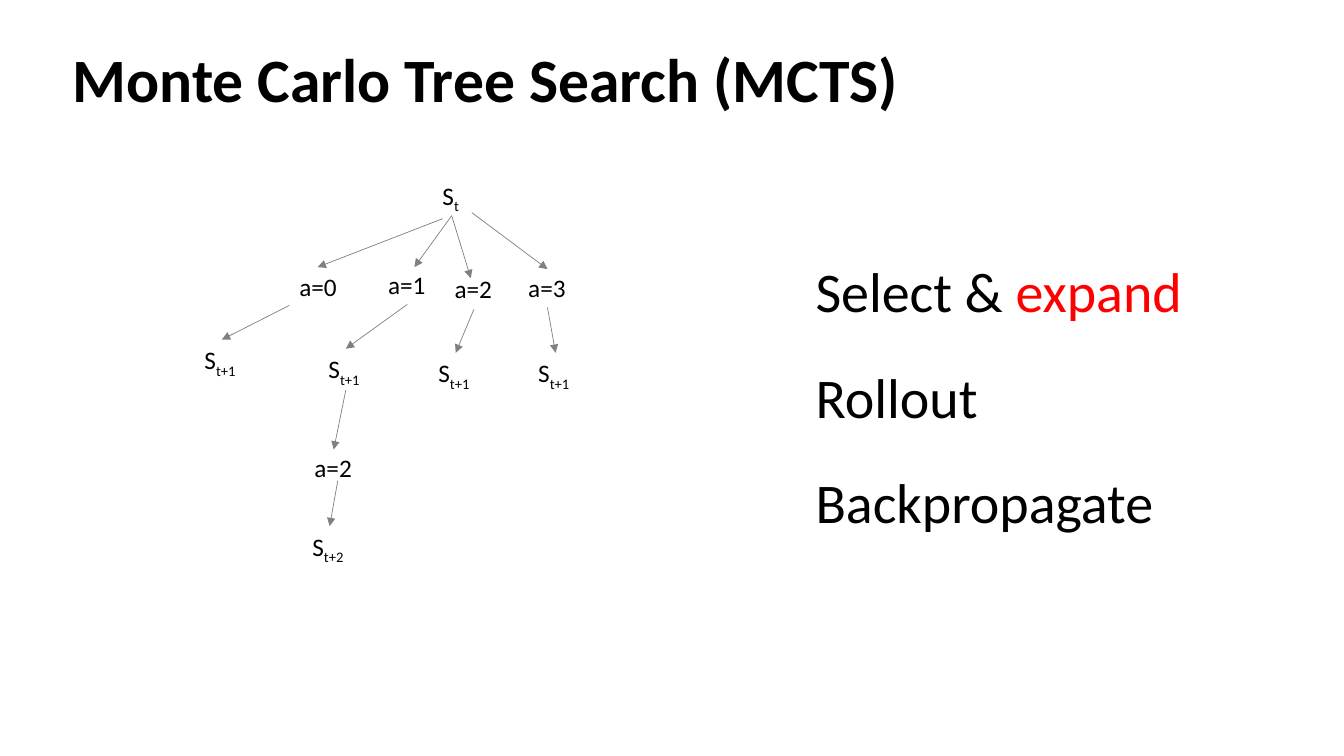
from dataclasses import dataclass

from lxml.etree import SubElement
from pptx import Presentation
from pptx.dml.color import RGBColor
from pptx.enum.shapes import MSO_CONNECTOR as Connector
from pptx.enum.text import MSO_ANCHOR as Anchor, MSO_AUTO_SIZE as AutoSize, PP_ALIGN as Align
from pptx.oxml.ns import qn
from pptx.slide import Slide
from pptx.text.text import TextFrame, _Paragraph as Paragraph
from pptx.util import Inches, Length, Pt

GRID_STEP = 0.1
FONT = "Calibri"
BLACK, RED, GRAY = "000000", "FF0000", "808080"
LABEL_ROWS = 4
ACTION_COLUMNS, STATE_COLUMNS = 5.8, 5.4
STEP_COLUMN, STEP_ROW, STEP_PITCH = 79.9, 25, 10.45
STEP_COLUMNS, STEP_ROWS = 38.9, 7.7

Point = tuple[float, float]


@dataclass(frozen=True)
class Node:
    text: str
    subscript: str
    column: float
    row: float
    columns: float


@dataclass(frozen=True)
class Arrow:
    start: Point
    end: Point


def action(number: int, column: float, row: float) -> Node:
    return Node(f"a={number}", "", column, row, ACTION_COLUMNS)


def state(offset: int, column: float, row: float) -> Node:
    return Node("S", f"t+{offset}", column, row, STATE_COLUMNS)


def arrow_into(node: Node, start: Point) -> Arrow:
    return Arrow(start, (node.column + node.columns / 2, node.row))


ROOT = Node("S", "t", 42.9, 17.4, 3.7)
ACTIONS = [action(0, 28.7, 26.4), action(1, 37.5, 26.2), action(2, 44.1, 26.6),
           action(3, 51.4, 26.5), action(2, 30.2, 44.4)]
STATES = [state(1, 19.3, 33.7), state(1, 31.6, 34.6), state(1, 42.5, 35),
          state(1, 52.4, 35), state(2, 30, 52.2)]
STATE_STARTS = [(28.7, 30.3), (40.4, 30.2), (47, 30.7), (54.3, 30.5), (33.5, 47.7)]
ARROWS = [
    Arrow((43.9, 21.7), (31.5, 26.5)),
    Arrow((44.8, 21.4), (41.1, 26.5)),
    Arrow((44.8, 21.4), (46.7, 27.6)),
    Arrow((46.8, 21.1), (54.3, 26.7)),
    Arrow((34.3, 38.7), (33.1, 44.6)),
    *map(arrow_into, STATES, STATE_STARTS),
]
STEPS = [[("Select & ", BLACK), ("expand", RED)], [("Rollout", BLACK)], [("Backpropagate", BLACK)]]


def grid(units: float) -> Length:
    return Inches(units * GRID_STEP)


def color(value: str) -> RGBColor:
    return RGBColor.from_string(value)


def write(paragraph: Paragraph, text: str, *, size: float, fill: str = BLACK,
          bold: bool = False, baseline: int = 0) -> None:
    run = paragraph.add_run()
    run.text = text
    run.font.name = FONT
    run.font.size = Pt(size)
    run.font.bold = bold
    run.font.color.rgb = color(fill)
    if baseline:
        run.font._element.set("baseline", str(baseline * 1000))


def add_text_frame(slide: Slide, column: float, row: float, columns: float,
                   rows: float, wrap: bool) -> TextFrame:
    box = slide.shapes.add_textbox(grid(column), grid(row), grid(columns), grid(rows))
    frame = box.text_frame
    frame.word_wrap = wrap
    frame.auto_size = AutoSize.SHAPE_TO_FIT_TEXT
    return frame


def add_node(slide: Slide, node: Node) -> None:
    frame = add_text_frame(slide, node.column, node.row, node.columns, LABEL_ROWS, False)
    paragraph = frame.paragraphs[0]
    write(paragraph, node.text, size=18)
    if node.subscript:
        write(paragraph, node.subscript, size=18, baseline=-25)


def add_arrow(slide: Slide, arrow: Arrow) -> None:
    connector = slide.shapes.add_connector(
        Connector.STRAIGHT, *map(grid, arrow.start), *map(grid, arrow.end))
    connector.line.color.rgb = color(GRAY)
    connector.line.width = Pt(0.5)
    SubElement(connector.line._get_or_add_ln(), qn("a:tailEnd"), type="triangle")
    SubElement(connector._element.spPr, qn("a:effectLst"))


def add_title(slide: Slide, text: str) -> None:
    title = slide.shapes.title
    title.left, title.top, title.width, title.height = map(grid, (6.2, 0.9, 124.8, 14.5))
    frame = title.text_frame
    frame.word_wrap = True
    frame.auto_size = AutoSize.NONE
    frame.vertical_anchor = Anchor.MIDDLE
    paragraph = frame.paragraphs[0]
    paragraph.alignment = Align.LEFT
    paragraph.line_spacing = 0.9
    write(paragraph, text, size=44, bold=True)


def add_steps(slide: Slide) -> None:
    for index, parts in enumerate(STEPS):
        row = STEP_ROW + index * STEP_PITCH
        frame = add_text_frame(slide, STEP_COLUMN, row, STEP_COLUMNS, STEP_ROWS, True)
        for text, fill in parts:
            write(frame.paragraphs[0], text, size=40, fill=fill)


def main() -> None:
    presentation = Presentation()
    presentation.slide_width = Inches(13.33)
    presentation.slide_height = Inches(7.5)
    slide = presentation.slides.add_slide(presentation.slide_layouts.get_by_name("Title Only"))
    add_title(slide, "Monte Carlo Tree Search (MCTS)")
    add_steps(slide)
    for node in [ROOT, *ACTIONS, *STATES]:
        add_node(slide, node)
    for arrow in ARROWS:
        add_arrow(slide, arrow)
    presentation.save("out.pptx")


if __name__ == "__main__":
    main()
